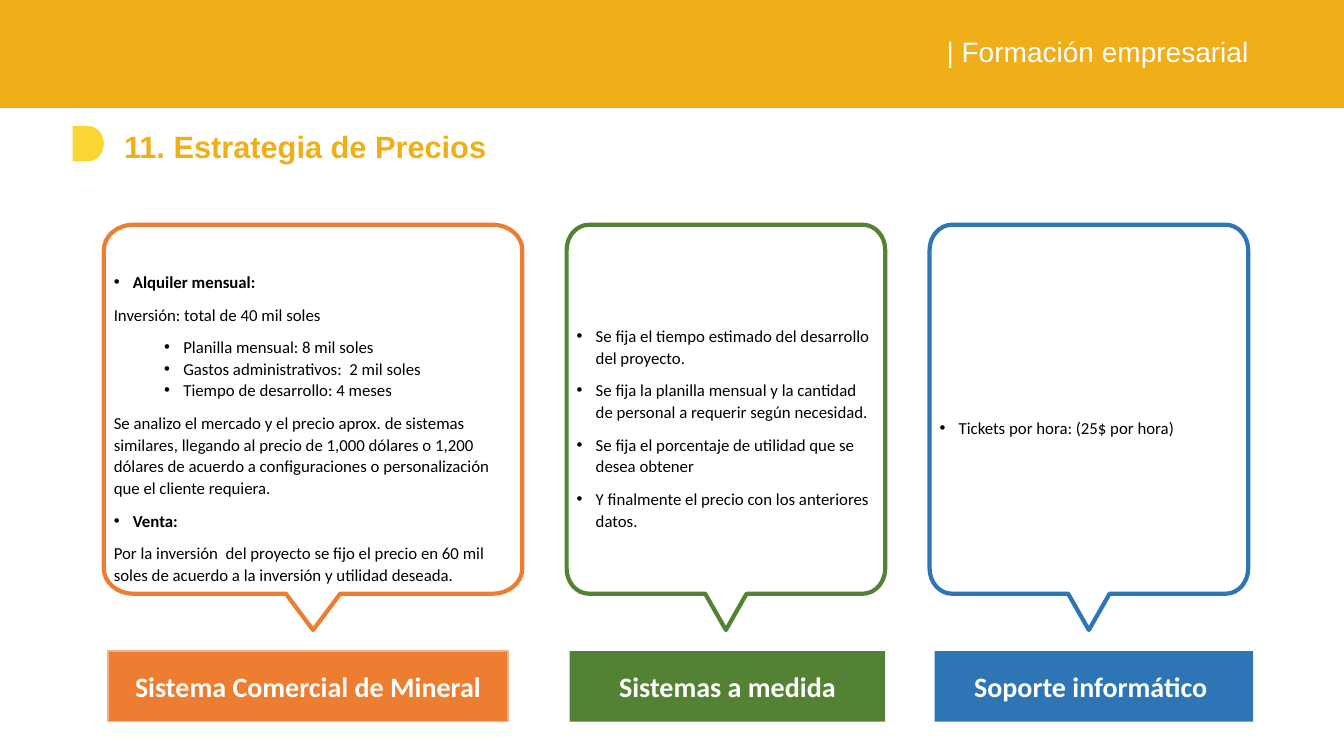
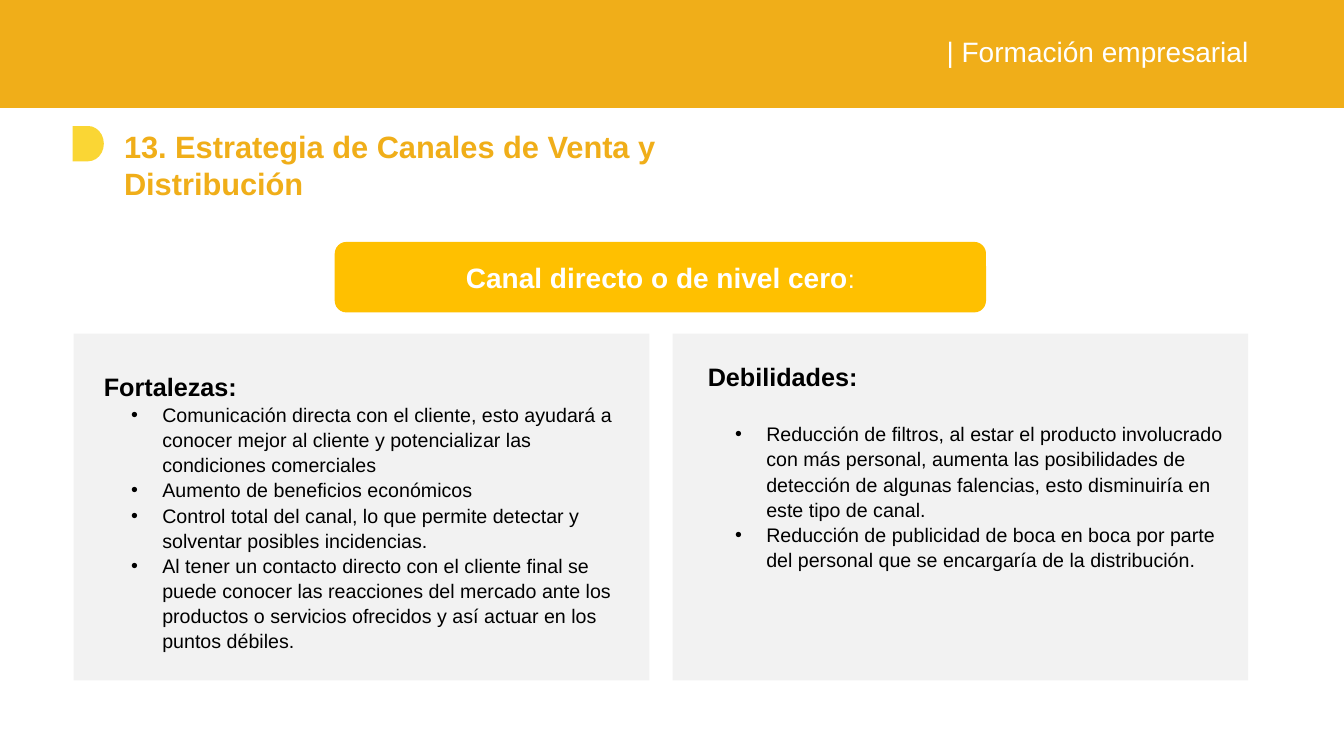
"""Build two slides on pricing strategy and sales channels."""
from dataclasses import dataclass
from typing import NamedTuple

from lxml.etree import SubElement
from pptx import Presentation
from pptx.dml.color import RGBColor
from pptx.enum.shapes import MSO_SHAPE
from pptx.enum.text import MSO_ANCHOR, MSO_AUTO_SIZE, PP_ALIGN
from pptx.oxml.ns import qn
from pptx.util import Pt

PX = 9144


@dataclass(frozen=True)
class Theme:
    gold: str = "F0AE19"
    yellow: str = "FAD634"
    amber: str = "FFC000"
    orange: str = "ED7D31"
    peach: str = "F4B183"
    green: str = "548235"
    blue: str = "2E75B6"
    grey: str = "F2F2F2"
    white: str = "FFFFFF"
    black: str = "000000"
    sans: str = "Arial"
    text: str = "Calibri"
    title_size: int = 22
    label_size: int = 20
    heading_size: int = 18
    list_size: int = 14
    note_size: int = 12


class Style(NamedTuple):
    size: int
    color: str
    font: str
    bold: bool = False
    align: PP_ALIGN = PP_ALIGN.LEFT
    margin: int = 0
    hang: int = 0
    after: int = 0
    spacing: float = 1.07


theme = Theme()
title_style = Style(theme.title_size, theme.gold, theme.sans, True, margin=10, spacing=1.0)
header_style = Style(theme.label_size, theme.white, theme.sans, spacing=1.0)
tag_style = Style(theme.label_size, theme.white, theme.text, True, PP_ALIGN.CENTER, spacing=1.0)
channel_style = tag_style._replace(font=theme.sans)
note = Style(theme.note_size, theme.black, theme.text, after=8)
note_bullet = note._replace(margin=19, hang=19)
note_heading = note_bullet._replace(bold=True)
sub_bullet = note_bullet._replace(margin=69, after=0)
sub_bullet_last = sub_bullet._replace(after=8)
heading = Style(theme.heading_size, theme.black, theme.sans, True)
spaced_heading = heading._replace(after=21)
list_bullet = Style(theme.list_size, theme.black, theme.sans, margin=58, hang=31)


def write(box, lines, anchor=MSO_ANCHOR.MIDDLE, insets=(10, 5, 10, 5)):
    """Fill a box with (text, style) paragraphs."""
    frame = box.text_frame
    frame.text = "\n".join(text for text, style in lines)
    frame.word_wrap = True
    frame.auto_size = MSO_AUTO_SIZE.NONE
    frame.vertical_anchor = anchor
    frame.margin_left, frame.margin_top, frame.margin_right, frame.margin_bottom = (
        inset * PX for inset in insets)
    for para, (text, style) in zip(frame.paragraphs, lines):
        para.alignment = style.align
        para.line_spacing = style.spacing
        para.space_before = Pt(0)
        para.space_after = Pt(style.after)
        properties = para._p.get_or_add_pPr()
        properties.set("marL", str(style.margin * PX))
        properties.set("indent", str(-style.hang * PX))
        if style.hang:
            SubElement(properties, qn("a:buFont"), typeface=theme.sans)
            SubElement(properties, qn("a:buChar"), char="•")
        else:
            SubElement(properties, qn("a:buNone"))
        for span in para.runs:
            span.font.name = style.font
            span.font.size = Pt(style.size)
            span.font.bold = style.bold
            span.font.color.rgb = RGBColor.from_string(style.color)


def add_block(page, kind, area, color):
    """Add a flat filled shape without outline."""
    shape = page.shapes.add_shape(kind, *(length * PX for length in area))
    shape.shadow.inherit = False
    shape.fill.solid()
    shape.fill.fore_color.rgb = RGBColor.from_string(color)
    shape.line.fill.background()
    return shape


deck = Presentation()
deck.slide_width, deck.slide_height = 1333 * PX, 750 * PX
prices = deck.slides.add_slide(deck.slide_layouts.get_by_name("Title Only"))
channels = deck.slides.add_slide(deck.slide_layouts.get_by_name("Two Content"))

band = add_block(prices, MSO_SHAPE.RECTANGLE, (0, -2, 1333, 109), theme.gold)
header = prices.shapes.add_textbox(929 * PX, 29 * PX, 404 * PX, 77 * PX)
write(header, [("| Formación empresarial", header_style)], MSO_ANCHOR.TOP)
for position, shape in enumerate((band, header), 2):
    shape.element.nvSpPr.cNvPr.set("id", str(100 + position))
    deck.slide_master.shapes.element.insert(position, shape.element)

for page, title in (
    (prices, "11. Estrategia de Precios"),
    (channels, "13. Estrategia de Canales de Venta y Distribución"),
):
    add_block(page, MSO_SHAPE.FLOWCHART_DELAY, (72, 125, 31, 35), theme.yellow)
    box = page.shapes.title
    box.left, box.top, box.width, box.height = 103 * PX, 117 * PX, 739 * PX, 70 * PX
    write(box, [(title, title_style)], MSO_ANCHOR.TOP, (10, 10, 10, 10))

offers = [
    (103, 415, 107, 397, theme.orange, "Sistema Comercial de Mineral", [
        ("Alquiler mensual:", note_heading),
        ("Inversión: total de 40 mil soles", note),
        ("Planilla mensual: 8 mil soles", sub_bullet),
        ("Gastos administrativos:  2 mil soles", sub_bullet),
        ("Tiempo de desarrollo: 4 meses", sub_bullet_last),
        ("Se analizo el mercado y el precio aprox. de sistemas similares, llegando al precio de "
         "1,000 dólares o 1,200 dólares de acuerdo a configuraciones o personalización que el "
         "cliente requiera.", note),
        ("Venta:", note_heading),
        ("Por la inversión  del proyecto se fijo el precio en 60 mil soles de acuerdo a la "
         "inversión y utilidad deseada.", note),
    ]),
    (562, 316, 565, 313, theme.green, "Sistemas a medida", [
        ("Se fija el tiempo estimado del desarrollo del proyecto.", note_bullet),
        ("Se fija la planilla mensual y la cantidad de personal a requerir según necesidad.",
         note_bullet),
        ("Se fija el porcentaje de utilidad que se desea obtener", note_bullet),
        ("Y finalmente el precio con los anteriores datos.", note_bullet),
    ]),
    (922, 316, 927, 316, theme.blue, "Soporte informático ", [
        ("Tickets por hora: (25$ por hora)", note_bullet),
    ]),
]
top, bottom, tip, radius_y = 223, 589, 625, 25
roundness = 0.55
for left, width, tag_left, tag_width, color, label, lines in offers:
    right = left + width
    near, far = left + 0.07 * width, right - 0.07 * width
    high, low = top + radius_y, bottom - radius_y
    outline = [
        (near, top), (left, high), (left, low), (near, bottom),
        (left + 0.435 * width, bottom), (left + 0.5 * width, tip),
        (left + 0.565 * width, bottom),
        (far, bottom), (right, low), (right, high), (far, top),
    ]
    corners = {1: (left, top), 3: (left, bottom), 8: (right, bottom), 10: (right, top)}
    points = [(round(x * PX), round(y * PX)) for x, y in outline]
    builder = prices.shapes.build_freeform(*points[0], scale=1.0)
    builder.add_line_segments(points[1:], close=True)
    callout = builder.convert_to_shape()
    segments = list(callout.element.iter(qn("a:lnTo")))
    for index, corner in corners.items():
        segment = segments[index - 1]
        segment.tag = qn("a:cubicBezTo")
        for position, end in enumerate((outline[index - 1], outline[index])):
            x, y = (e + roundness * (c - e) for e, c in zip(end, corner))
            control = SubElement(segment, qn("a:pt"), x=str(round((x - left) * PX)),
                                 y=str(round((y - top) * PX)))
            segment.insert(position, control)
    callout.shadow.inherit = False
    callout.fill.background()
    callout.line.color.rgb = RGBColor.from_string(color)
    callout.line.width = Pt(3)
    write(callout, lines, insets=(10, 10, 10, 10))

    tag = add_block(prices, MSO_SHAPE.RECTANGLE, (tag_left, 646, tag_width, 70), color)
    write(tag, [(label, tag_style)])
    if color == theme.orange:
        tag.line.color.rgb = RGBColor.from_string(theme.peach)
        tag.line.width = Pt(1)

panels = [
    (1, 73, (30, 35, 11, 5), [
        ("Fortalezas:", heading),
        ("Comunicación directa con el cliente, esto ayudará a conocer mejor al cliente y "
         "potencializar las condiciones comerciales", list_bullet),
        ("Aumento de beneficios económicos", list_bullet),
        ("Control total del canal, lo que permite detectar y solventar posibles incidencias.",
         list_bullet),
        ("Al tener un contacto directo con el cliente final se puede conocer las reacciones del "
         "mercado ante los productos o servicios ofrecidos y así actuar en los puntos débiles.",
         list_bullet),
    ]),
    (2, 667, (35, 25, 23, 5), [
        ("Debilidades:", spaced_heading),
        ("Reducción de filtros, al estar el producto involucrado con más personal, aumenta las "
         "posibilidades de detección de algunas falencias, esto disminuiría en este tipo de "
         "canal.", list_bullet),
        ("Reducción de publicidad de boca en boca por parte del personal que se encargaría de "
         "la distribución.", list_bullet),
    ]),
]
for index, left, insets, lines in panels:
    panel = channels.placeholders[index]
    panel.left, panel.top, panel.width, panel.height = left * PX, 331 * PX, 571 * PX, 344 * PX
    panel.fill.solid()
    panel.fill.fore_color.rgb = RGBColor.from_string(theme.grey)
    write(panel, lines, MSO_ANCHOR.TOP, insets)

channel = add_block(channels, MSO_SHAPE.ROUNDED_RECTANGLE, (332, 240, 646, 70), theme.amber)
write(channel, [("Canal directo o de nivel cero", channel_style)])
colon = channel.text_frame.paragraphs[0].add_run()
colon.text = ":"
colon.font.name = theme.sans
colon.font.size = Pt(theme.heading_size)
colon.font.bold = False
colon.font.color.rgb = RGBColor.from_string(theme.white)

deck.save("out.pptx")
